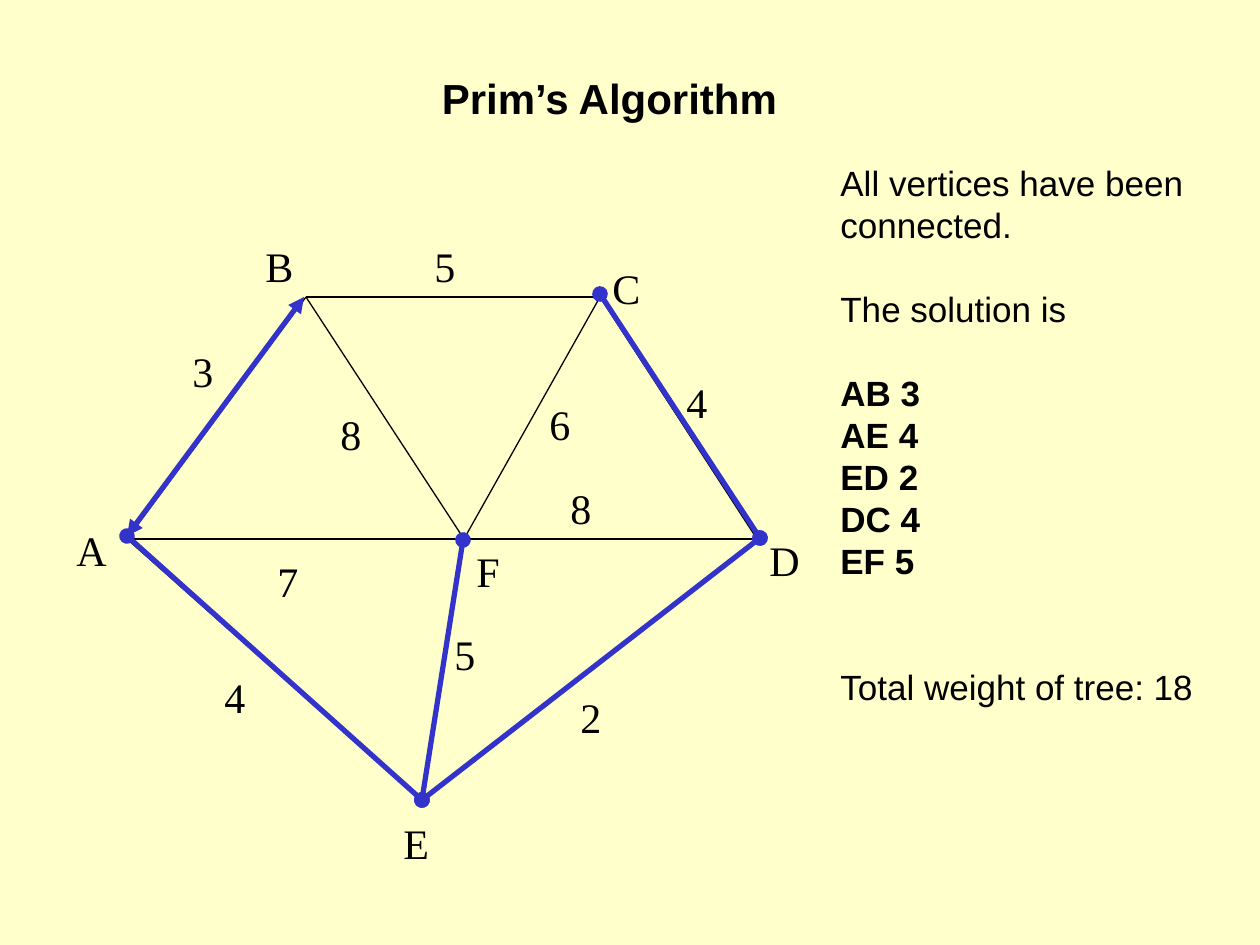
from lxml.etree import SubElement
from pptx import Presentation
from pptx.dml.color import RGBColor
from pptx.enum.shapes import MSO_CONNECTOR
from pptx.enum.text import PP_ALIGN
from pptx.oxml.ns import qn
from pptx.util import Pt

PX = 914400 / 126
CREAM = RGBColor(0xFF, 0xFF, 0xCC)
BLACK = RGBColor(0, 0, 0)
BLUE = RGBColor(0x33, 0x33, 0xCC)


def add_text(text, left, top, width, height, size=24, font="Times New Roman",
             bold=False, align=PP_ALIGN.LEFT):
    box = page.shapes.add_textbox(*(round(n * PX) for n in (left, top, width, height)))
    box.text_frame.word_wrap = True
    para = box.text_frame.paragraphs[0]
    para.alignment = align
    para.line_spacing = Pt(size * 1.2)
    span = para.add_run()
    span.text = text
    span.font.size = Pt(size)
    span.font.name = font
    span.font.bold = bold
    span.font.color.rgb = BLACK
    return box


def add_edge(start, end, color=BLACK, weight=0.75, tip=None):
    edge = page.shapes.add_connector(
        MSO_CONNECTOR.STRAIGHT, *(round(n * PX) for n in (*start, *end)))
    edge.line.color.rgb = color
    edge.line.width = Pt(weight)
    if tip:
        line = edge.line._get_or_add_ln()
        for name in ("a:headEnd", "a:tailEnd"):
            SubElement(line, qn(name), type=tip)
    SubElement(edge._element.spPr, qn("a:effectLst"))


deck = Presentation()
deck.slide_width = round(1260 * PX)
deck.slide_height = round(945 * PX)
page = deck.slides.add_slide(deck.slide_layouts[6])
page.background.fill.solid()
page.background.fill.fore_color.rgb = CREAM

# Title
add_text("Prim’s Algorithm", 113, 66, 993, 63, font="Arial", bold=True,
         align=PP_ALIGN.CENTER)

# Graph edges
vertices = {"A": (127, 539), "B": (306, 297), "C": (600, 297),
            "D": (757, 539), "E": (422, 801), "F": (464, 539)}
for first, second in ("AB", "BC", "CD", "AF", "FD", "BF", "FC", "AE", "EF", "ED"):
    add_edge(vertices[first], vertices[second])

# Vertex names and edge weights
labels = [
    ("A", 64, 518), ("F", 464, 539), ("B", 253, 234), ("C", 600, 256),
    ("D", 757, 528), ("E", 391, 811),
    ("2", 568, 685), ("7", 265, 549), ("4", 212, 665), ("5", 442, 622),
    ("8", 328, 402), ("6", 537, 392), ("4", 674, 370), ("5", 422, 234),
    ("3", 180, 339), ("8", 558, 476),
]
for text, left, top in labels:
    add_text(text, left, top, 63, 63)

# Solution: text, bold, lines of space above
solution = [
    ("connected.", False, 0), ("The solution is", False, 1),
    ("AB 3", True, 1), ("AE 4", True, 0), ("ED 2", True, 0),
    ("DC 4", True, 0), ("EF 5", True, 0),
    ("Total weight of tree: 18", False, 2),
]
side = add_text("All vertices have been", 828, 155, 397, 601, size=20, font="Arial")
for text, bold, gap in solution:
    para = side.text_frame.add_paragraph()
    para.line_spacing = Pt(24)
    para.space_before = Pt(24 * gap)
    span = para.add_run()
    span.text = text
    span.font.size = Pt(20)
    span.font.name = "Arial"
    span.font.bold = bold
    span.font.color.rgb = BLACK

# Minimum spanning tree
tree = {"A": (127, 536), "B": (304, 297), "C": (600, 294),
        "D": (760, 538), "E": (422, 800), "F": (463, 540)}
for first, second in ("AB", "AE", "ED", "DC", "EF"):
    tip = "triangle" if second == "B" else "oval"
    add_edge(tree[first], tree[second], color=BLUE, weight=3, tip=tip)

deck.save("out.pptx")
